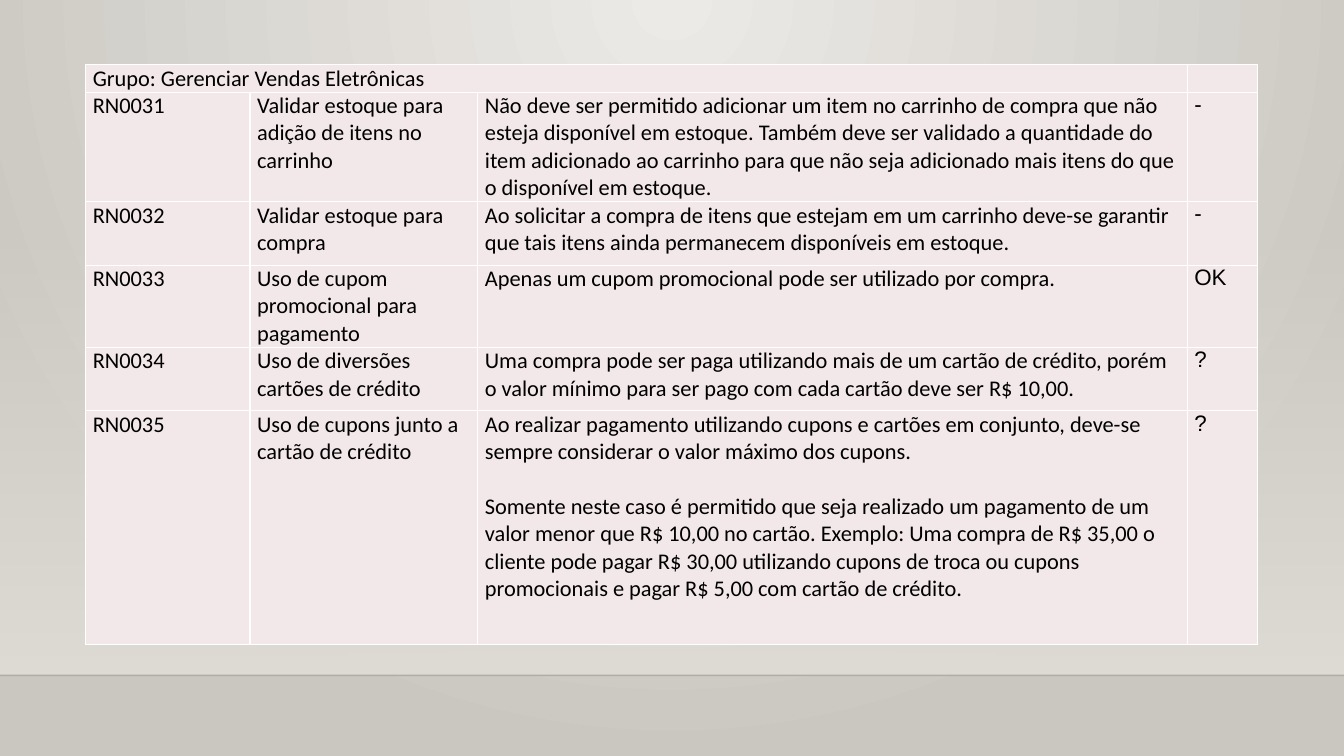
from lxml import etree
from pptx import Presentation
from pptx.dml.color import RGBColor
from pptx.enum.shapes import MSO_CONNECTOR, MSO_SHAPE
from pptx.oxml import parse_xml
from pptx.oxml.ns import nsdecls, qn
from pptx.util import Cm, Pt

RECTANGLE = MSO_SHAPE.RECTANGLE
STRAIGHT = MSO_CONNECTOR.STRAIGHT

SLIDE_WIDTH, SLIDE_HEIGHT = Cm(33.87), Cm(19.05)
FLOOR_TOP = Cm(17.02)
CELL_FILL = "F3E8E9"
BORDER_COLOR = "FFFFFF"
TEXT_SIZE = Pt(16)
BLANK_LINE = Pt(19.5)
CELL_FORMAT = {
    "margin_left": Cm(0.18),
    "margin_right": Cm(0.18),
    "margin_top": 0,
    "margin_bottom": 0,
}

COLUMN_WIDTHS = [4.14, 5.74, 17.88, 1.78]
ROW_HEIGHTS = [0.58, 2.69, 1.6, 1.07, 1.6, 5.89]
GROUP_TITLE = "Grupo: Gerenciar Vendas Eletrônicas"
RULES = [
    ("RN0031", "Validar estoque para adição de itens no carrinho",
     "Não deve ser permitido adicionar um item no carrinho de compra que não "
     "esteja disponível em estoque. Também deve ser validado a quantidade do "
     "item adicionado ao carrinho para que não seja adicionado mais itens do "
     "que o disponível em estoque.", "-"),
    ("RN0032", "Validar estoque para compra",
     "Ao solicitar a compra de itens que estejam em um carrinho deve-se "
     "garantir que tais itens ainda permanecem disponíveis em estoque.", "-"),
    ("RN0033", "Uso de cupom promocional para pagamento",
     "Apenas um cupom promocional pode ser utilizado por compra.", "OK"),
    ("RN0034", "Uso de diversões cartões de crédito",
     "Uma compra pode ser paga utilizando mais de um cartão de crédito, porém "
     "o valor mínimo para ser pago com cada cartão deve ser R$ 10,00.", "?"),
    ("RN0035", "Uso de cupons junto a cartão de crédito",
     "Ao realizar pagamento utilizando cupons e cartões em conjunto, deve-se "
     "sempre considerar o valor máximo dos cupons.\n"
     "Somente neste caso é permitido que seja realizado um pagamento de um "
     "valor menor que R$ 10,00 no cartão. Exemplo: Uma compra de R$ 35,00 o "
     "cliente pode pagar R$ 30,00 utilizando cupons de troca ou cupons "
     "promocionais e pagar R$ 5,00 com cartão de crédito.", "?"),
]


def rgb(color):
    return RGBColor.from_string(color)


def gradient_xml(stops, direction):
    """Gradient fill from (position %, colour, opacity %) stops."""
    stop_xml = "".join(
        f'<a:gs pos="{position * 1000}"><a:srgbClr val="{color}">'
        f'<a:alpha val="{opacity * 1000}"/></a:srgbClr></a:gs>'
        for position, color, opacity in stops)
    return (f'<a:gradFill {nsdecls("a")} rotWithShape="1">'
            f"<a:gsLst>{stop_xml}</a:gsLst>{direction}</a:gradFill>")


def set_background(slide):
    glow = gradient_xml(
        [(0, "ECEAE7", 100), (100, "CAC7C1", 100)],
        '<a:path path="circle">'
        '<a:fillToRect l="43000" t="0" r="43000" b="100000"/></a:path>')
    background = parse_xml(
        f'<p:bg {nsdecls("p", "a")}><p:bgPr>{glow}<a:effectLst/></p:bgPr></p:bg>')
    slide.element.cSld.insert(0, background)


def add_wall(slide):
    """Band that fades in from transparent down to the floor line."""
    top = Cm(5.61)
    wall = slide.shapes.add_shape(RECTANGLE, 0, top, SLIDE_WIDTH, FLOOR_TOP - top)
    wall.shadow.inherit = False
    wall.line.fill.background()
    wall.fill.background()
    properties = wall.element.spPr
    fade = gradient_xml([(0, "DFDBD5", 0), (100, "DFDBD5", 100)],
                        '<a:lin ang="5400000" scaled="0"/>')
    properties.replace(properties.find(qn("a:noFill")), parse_xml(fade))


def add_floor_line(slide):
    floor = slide.shapes.add_connector(STRAIGHT, 0, FLOOR_TOP, SLIDE_WIDTH, FLOOR_TOP)
    floor.line.color.rgb = rgb("000001")
    floor.line.width = Pt(1)
    properties = floor.element.spPr
    color = next(properties.iter(qn("a:srgbClr")))
    etree.SubElement(color, qn("a:alpha"), val="20000")
    etree.SubElement(properties, qn("a:effectLst"))


def style_cell(cell):
    for name, value in CELL_FORMAT.items():
        setattr(cell, name, value)
    properties = cell._tc.get_or_add_tcPr()
    for side in ("lnL", "lnR", "lnT", "lnB"):
        border = etree.SubElement(properties, qn(f"a:{side}"), w=str(Pt(1)))
        fill = etree.SubElement(border, qn("a:solidFill"))
        etree.SubElement(fill, qn("a:srgbClr"), val=BORDER_COLOR)
    cell.fill.solid()
    cell.fill.fore_color.rgb = rgb(CELL_FILL)


def write_cell(cell, text, font_name):
    """Write one paragraph per line, a blank line's height apart."""
    cell.text = text
    for index, paragraph in enumerate(cell.text_frame.paragraphs):
        if index:
            paragraph.space_before = BLANK_LINE
        for run in paragraph.runs:
            run.font.name = font_name
            run.font.size = TEXT_SIZE
            run.font.color.rgb = rgb("000000")
        if not paragraph.runs:
            etree.SubElement(paragraph._p, qn("a:endParaRPr"),
                             sz=str(int(TEXT_SIZE.pt * 100)))


def add_rules_table(slide):
    rows = [(GROUP_TITLE, "", "", ""), *RULES]
    frame = slide.shapes.add_table(
        len(rows), len(COLUMN_WIDTHS), Cm(2.16), Cm(1.63),
        Cm(sum(COLUMN_WIDTHS)), Cm(sum(ROW_HEIGHTS)))
    table = frame.table
    table.first_row = False
    table.horz_banding = False
    for column, width in zip(table.columns, COLUMN_WIDTHS):
        column.width = Cm(width)
    for row, height in zip(table.rows, ROW_HEIGHTS):
        row.height = Cm(height)
    status_column = len(COLUMN_WIDTHS) - 1
    for row_index, texts in enumerate(rows):
        for column_index, text in enumerate(texts):
            cell = table.cell(row_index, column_index)
            style_cell(cell)
            write_cell(cell, text,
                       "Arial" if column_index == status_column else "Calibri")
    table.cell(0, 0).merge(table.cell(0, status_column - 1))


def main():
    presentation = Presentation()
    presentation.slide_width = SLIDE_WIDTH
    presentation.slide_height = SLIDE_HEIGHT
    slide = presentation.slides.add_slide(presentation.slide_layouts[6])
    set_background(slide)
    add_wall(slide)
    add_floor_line(slide)
    add_rules_table(slide)
    presentation.save("out.pptx")


if __name__ == "__main__":
    main()
